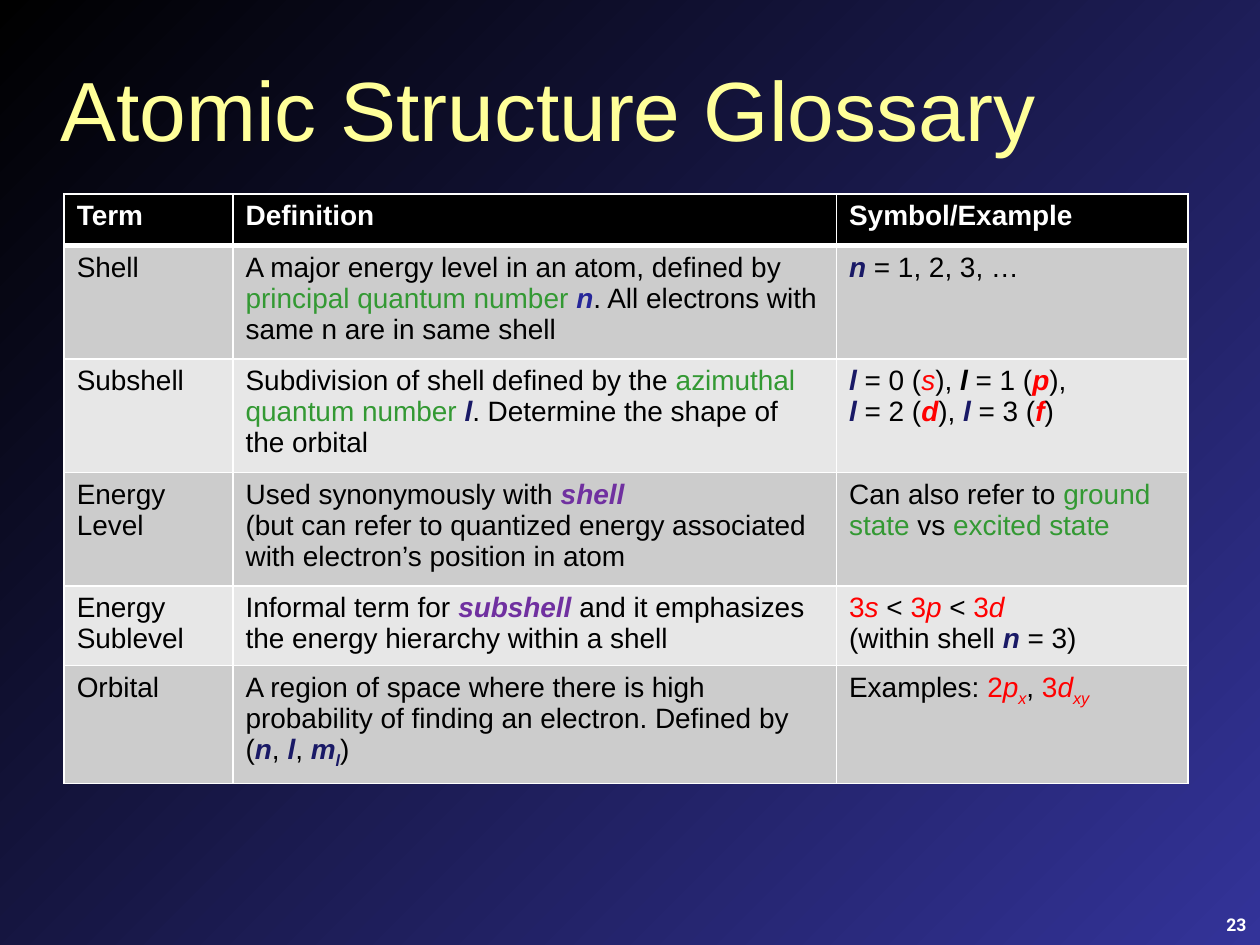
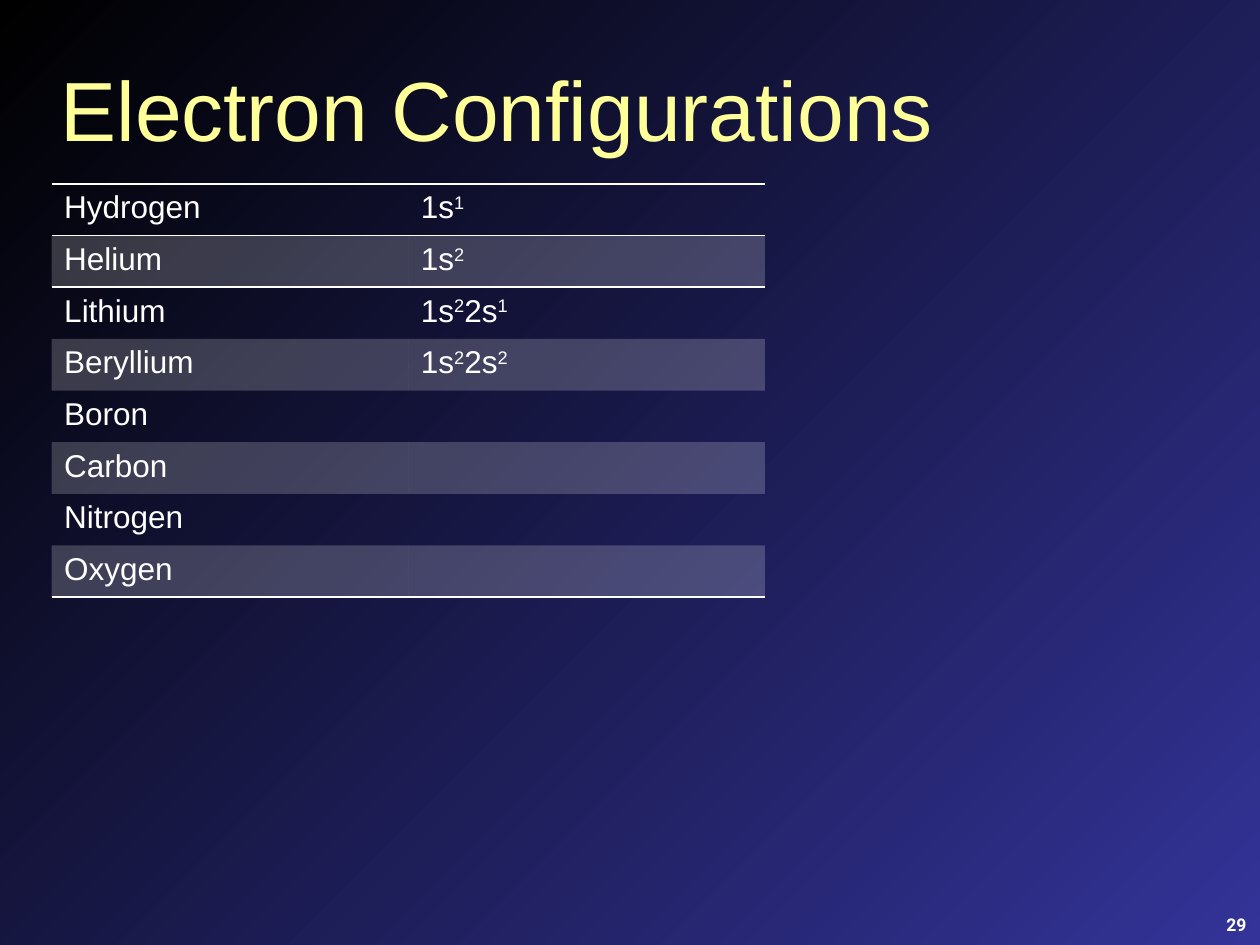
from dataclasses import dataclass
from typing import NamedTuple

import lxml.etree
import pptx
import pptx.dml.color
import pptx.enum.text
import pptx.oxml.ns
import pptx.slide
import pptx.table
import pptx.util

Inches = pptx.util.Inches
Pt = pptx.util.Pt
qn = pptx.oxml.ns.qn

# Shared look
COLORS = {
    "night": "000000", "indigo": "333399", "title": "FFFF99",
    "white": "FFFFFF", "black": "000000",
    "green": "339933", "navy": "191966", "blue": "262699",
    "purple": "7030A0", "red": "FF0000",
    "odd_row": "CCCCCC", "even_row": "E7E7E7",
}
FONT = "Arial"
NUMBER_FONT = "Roboto"
NO_STYLE_TABLE = "{2D5ABB26-0587-4C30-8999-92F81FD0307C}"
ROW_HEIGHT = 0.41


@dataclass(frozen=True)
class TextStyle:
    color: str | None = None  # None keeps the colour of the table row
    bold: bool = False
    italic: bool = False
    baseline: int = 0  # percent of the text size


STYLES = {
    "plain": TextStyle(),
    "header": TextStyle("white", bold=True),
    "concept": TextStyle("green"),
    "number": TextStyle("navy", bold=True, italic=True),
    "main_number": TextStyle("blue", bold=True, italic=True),
    "dark_number": TextStyle("black", bold=True, italic=True),
    "number_sub": TextStyle("navy", bold=True, italic=True, baseline=-25),
    "synonym": TextStyle("purple", bold=True, italic=True),
    "level": TextStyle("red"),
    "letter": TextStyle("red", italic=True),
    "bold_letter": TextStyle("red", bold=True, italic=True),
    "letter_sub": TextStyle("red", italic=True, baseline=-25),
    "electrons": TextStyle(baseline=30),
}


class Run(NamedTuple):
    text: str
    style: str = "plain"


class Border(NamedTuple):
    side: str  # L, R, T or B
    width: float = 1


Cell = list[Run]


@dataclass(frozen=True)
class TableSpec:
    left: float
    top: float
    columns: list[float]
    rows: list[list[Cell]]
    size: int
    color: str


# Content of the glossary
N = Run("n", "number")
L = Run("l", "number")
GLOSSARY = [
    [[Run(heading, "header")] for heading in ("Term", "Definition", "Symbol/Example")],
    [
        [Run("Shell")],
        [Run("A major energy level in an atom, defined by "),
         Run("principal quantum number ", "concept"), Run("n", "main_number"),
         Run(". All electrons with same n are in same shell")],
        [N, Run(" = 1, 2, 3, …")],
    ],
    [
        [Run("Subshell")],
        [Run("Subdivision of shell defined by the "),
         Run("azimuthal quantum number ", "concept"), L,
         Run(". Determine the shape of the orbital")],
        [L, Run(" = 0 ("), Run("s", "letter"), Run("), "),
         Run("l", "dark_number"), Run(" = 1 ("), Run("p", "bold_letter"), Run("),\n"),
         L, Run(" = 2 ("), Run("d", "bold_letter"), Run("), "),
         L, Run(" = 3 ("), Run("f", "bold_letter"), Run(")")],
    ],
    [
        [Run("Energy Level")],
        [Run("Used synonymously with "), Run("shell\n", "synonym"),
         Run("(but can refer to quantized energy associated with "
             "electron’s position in atom")],
        [Run("Can also refer to "), Run("ground state ", "concept"),
         Run("vs "), Run("excited state", "concept")],
    ],
    [
        [Run("Energy Sublevel")],
        [Run("Informal term for "), Run("subshell", "synonym"),
         Run(" and it emphasizes the energy hierarchy within a shell")],
        [Run("3", "level"), Run("s", "letter"), Run(" < "),
         Run("3", "level"), Run("p", "letter"), Run(" < "),
         Run("3", "level"), Run("d\n", "letter"),
         Run("(within shell "), N, Run(" = 3)")],
    ],
    [
        [Run("Orbital")],
        [Run("A region of space where there is high probability of finding "
             "an electron. Defined by ("),
         N, Run(", "), L, Run(", "), Run("m", "number"), Run("l", "number_sub"), Run(")")],
        [Run("Examples: "), Run("2", "level"), Run("p", "letter"), Run("x", "letter_sub"),
         Run(", "), Run("3", "level"), Run("d", "letter"), Run("xy", "letter_sub")],
    ],
]

# Content of the configurations: (subshell, electrons) pairs
CONFIGURATIONS = {
    "Hydrogen": [("1s", "1")],
    "Helium": [("1s", "2")],
    "Lithium": [("1s", "2"), ("2s", "1")],
    "Beryllium": [("1s", "2"), ("2s", "2")],
    "Boron": [], "Carbon": [], "Nitrogen": [], "Oxygen": [],
}


def rgb(name: str) -> pptx.dml.color.RGBColor:
    return pptx.dml.color.RGBColor.from_string(COLORS[name])


def format_font(font, color: str, **values) -> None:
    for attribute, value in values.items():
        setattr(font, attribute, value)
    font.color.rgb = rgb(color)


def set_background(master: pptx.slide.SlideMaster) -> None:
    fill = master.background.fill
    fill.gradient()
    fill.gradient_angle = 315  # counter-clockwise: top left to bottom right
    for stop, position, color in zip(fill.gradient_stops, (0, 1), ("night", "indigo")):
        stop.position = position
        stop.color.rgb = rgb(color)


def add_slide(deck, title: str, number: int) -> pptx.slide.Slide:
    slide = deck.slides.add_slide(deck.slide_layouts[5])

    # Title
    heading = slide.shapes.title
    heading.left, heading.top = Inches(0.38), Inches(0.4)
    heading.width, heading.height = Inches(9.21), Inches(0.91)
    heading.text_frame.text = title
    heading.text_frame.vertical_anchor = pptx.enum.text.MSO_ANCHOR.MIDDLE
    line = heading.text_frame.paragraphs[0]
    line.alignment = pptx.enum.text.PP_ALIGN.LEFT
    format_font(line.runs[0].font, "title", name=FONT, size=Pt(48))

    # Slide number
    corner = slide.shapes.add_textbox(
        Inches(9.59), Inches(7.16), Inches(0.4), Inches(0.35)).text_frame
    corner.word_wrap = True
    corner.vertical_anchor = pptx.enum.text.MSO_ANCHOR.MIDDLE
    line = corner.paragraphs[0]
    line.alignment = pptx.enum.text.PP_ALIGN.RIGHT
    line.text = str(number)
    format_font(line.runs[0].font, "white", name=NUMBER_FONT, size=Pt(10), bold=True)
    return slide


def write_cell(cell: pptx.table._Cell, runs: Cell, size: int, color: str) -> None:
    paragraph = cell.text_frame.paragraphs[0]
    paragraph.font.size = Pt(size)
    for text, style_name in runs:
        style = STYLES[style_name]
        run = paragraph.add_run()
        run.text = text.rstrip("\n")
        format_font(run.font, style.color or color, name=FONT, size=Pt(size),
                    bold=style.bold, italic=style.italic)
        if style.baseline:
            run.font._element.set("baseline", str(style.baseline * 1000))
        if text.endswith("\n"):
            paragraph.add_line_break()


def fill_cell(cell: pptx.table._Cell, color: str, opacity: int = 100) -> None:
    cell.fill.solid()
    cell.fill.fore_color.rgb = rgb(color)
    if opacity < 100:
        tint = cell._tc.tcPr.find(".//" + qn("a:srgbClr"))
        lxml.etree.SubElement(tint, qn("a:alpha")).set("val", str(opacity * 1000))


def border_cell(cell: pptx.table._Cell, borders: list[Border]) -> None:
    """Draw white borders, given in the order L, R, T, B."""
    properties = cell._tc.get_or_add_tcPr()
    for index, border in enumerate(borders):
        line = lxml.etree.Element(qn("a:ln" + border.side), w=str(Pt(border.width)))
        solid = lxml.etree.SubElement(line, qn("a:solidFill"))
        lxml.etree.SubElement(solid, qn("a:srgbClr")).set("val", COLORS["white"])
        properties.insert(index, line)


def add_table(slide: pptx.slide.Slide, spec: TableSpec) -> pptx.table.Table:
    table = slide.shapes.add_table(
        len(spec.rows), len(spec.columns), Inches(spec.left), Inches(spec.top),
        Inches(sum(spec.columns)), Inches(ROW_HEIGHT * len(spec.rows))).table
    table.first_row = table.horz_banding = False
    table._tbl.tblPr.find(qn("a:tableStyleId")).text = NO_STYLE_TABLE
    for column, width in zip(table.columns, spec.columns):
        column.width = Inches(width)
    for r, row in enumerate(spec.rows):
        table.rows[r].height = Inches(ROW_HEIGHT)
        for c, runs in enumerate(row):
            write_cell(table.cell(r, c), runs, spec.size, spec.color)
    return table


def build_glossary(deck) -> None:
    slide = add_slide(deck, "Atomic Structure Glossary", 23)
    table = add_table(slide, TableSpec(
        0.51, 1.54, [1.34, 4.79, 2.79], GLOSSARY, size=16, color="black"))
    for r, row in enumerate(table.rows):
        color = "black" if r == 0 else "odd_row" if r % 2 else "even_row"
        top = 3 if r == 1 else 1
        bottom = 3 if r == 0 else 1
        for cell in row.cells:
            fill_cell(cell, color)
            border_cell(cell, [Border("L"), Border("R"),
                               Border("T", top), Border("B", bottom)])


def build_configurations(deck) -> None:
    slide = add_slide(deck, "Electron Configurations", 29)
    rows = [
        [[Run(element)],
         [run for subshell, electrons in filling
          for run in (Run(subshell), Run(electrons, "electrons"))]]
        for element, filling in CONFIGURATIONS.items()
    ]
    table = add_table(slide, TableSpec(
        0.41, 1.46, [2.83, 2.83], rows, size=18, color="white"))
    ruled = {0: [Border("T"), Border("B")], 1: [Border("T")], len(rows) - 1: [Border("B")]}
    for r, row in enumerate(table.rows):
        for cell in row.cells:
            if r % 2:
                fill_cell(cell, "white", opacity=20)
            border_cell(cell, ruled.get(r, []))


def main() -> None:
    deck = pptx.Presentation()
    deck.slide_width, deck.slide_height = Inches(10), Inches(7.5)
    set_background(deck.slide_master)
    build_glossary(deck)
    build_configurations(deck)
    deck.save("out.pptx")


if __name__ == "__main__":
    main()
